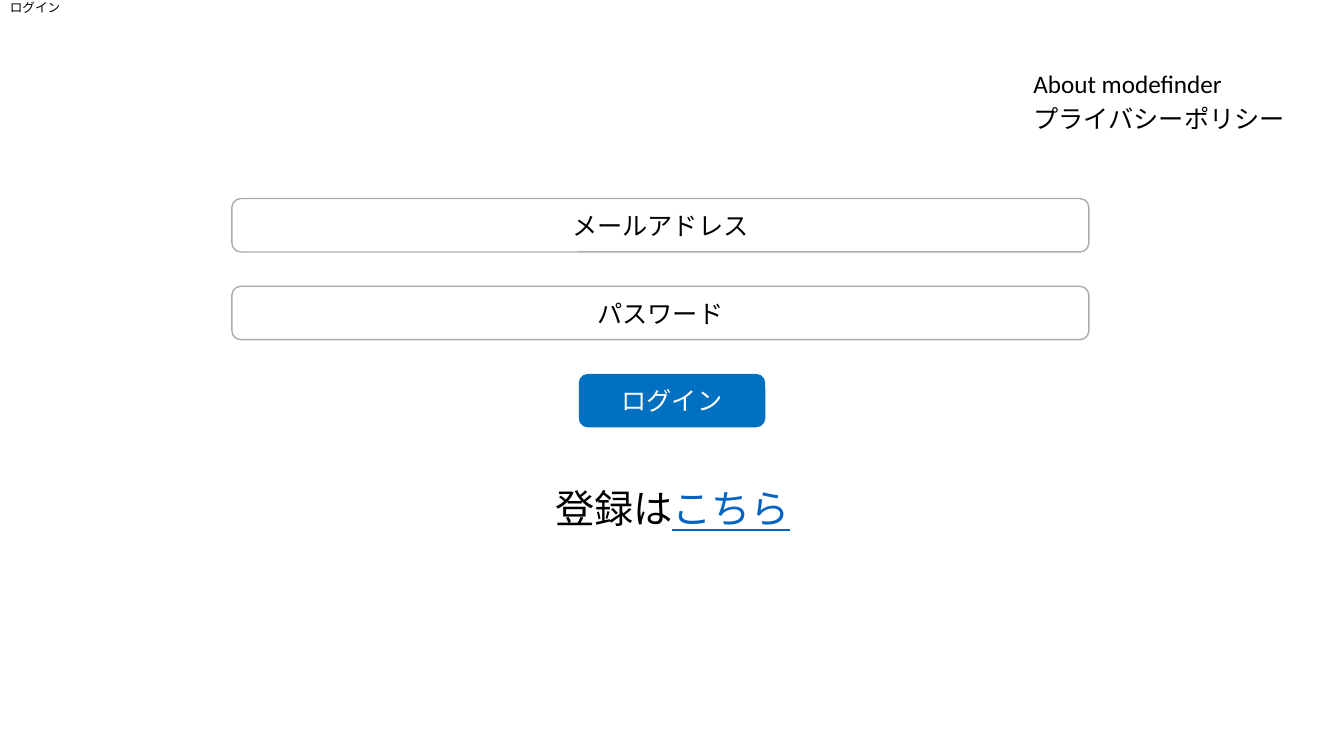
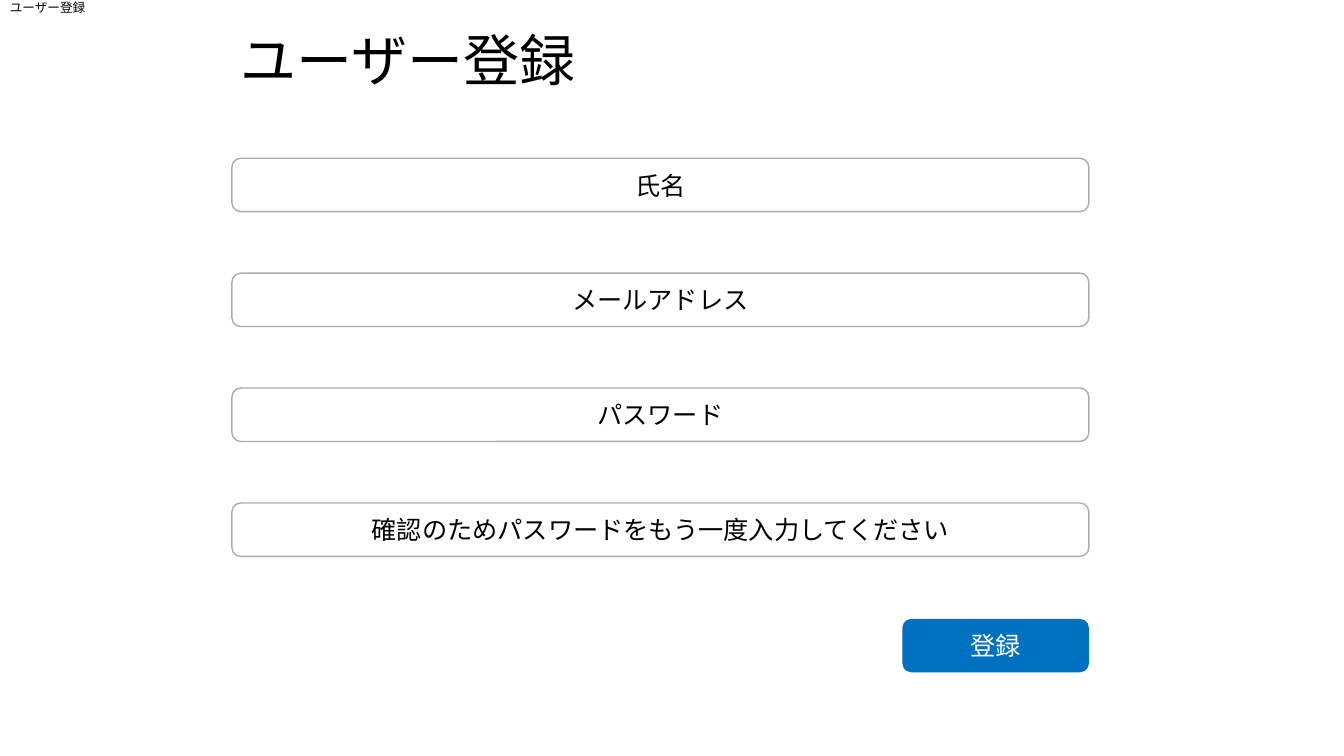
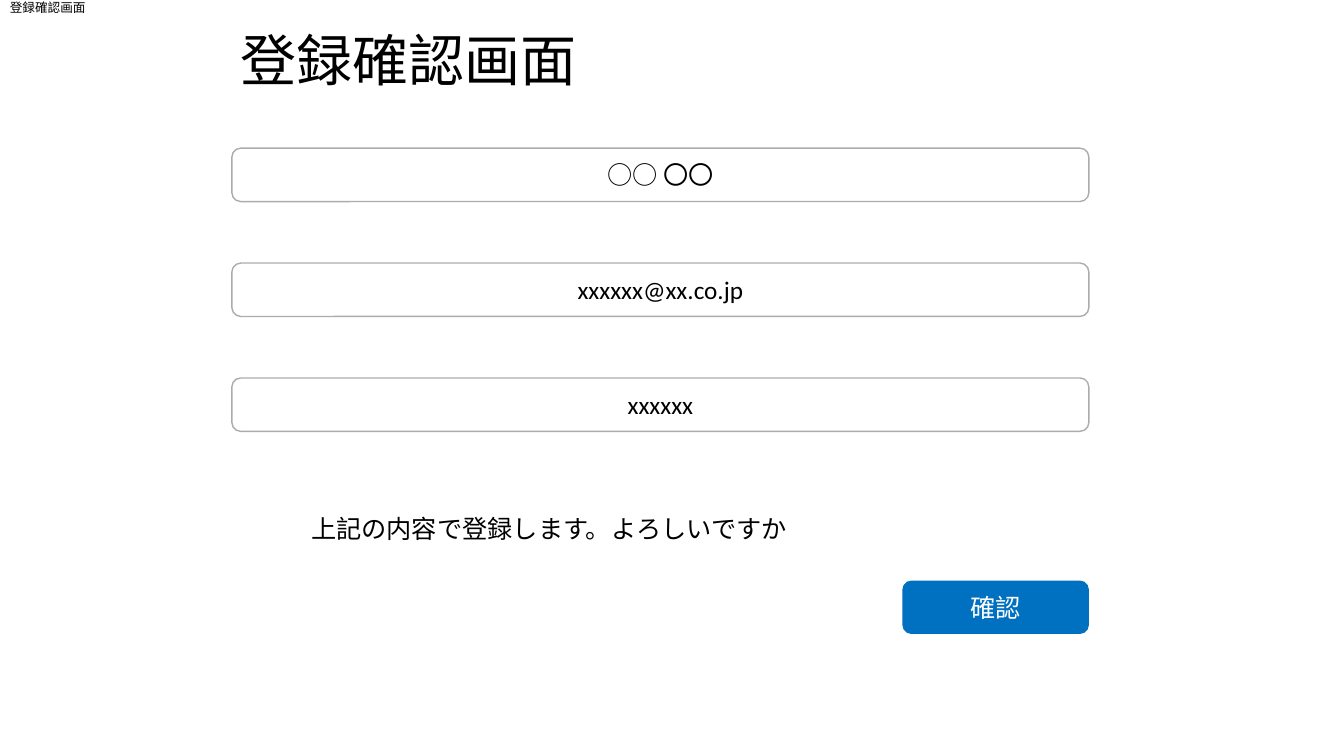
from pptx import Presentation
from pptx.dml.color import RGBColor
from pptx.enum.shapes import MSO_SHAPE
from pptx.enum.text import MSO_ANCHOR, PP_ALIGN
from pptx.util import Inches, Pt

BLACK = RGBColor(0x00, 0x00, 0x00)
WHITE = RGBColor(0xFF, 0xFF, 0xFF)
BUTTON_BLUE = RGBColor(0x00, 0x70, 0xC0)
LINK_BLUE = RGBColor(0x05, 0x63, 0xC1)
FIELD_GRAY = RGBColor(0xAF, 0xAB, 0xAB)
FONT = "Calibri"

FORM_LEFT, FORM_WIDTH = 2.3, 8.5
ROW_HEIGHT = 0.53
BUTTON_WIDTH = 1.85
BUTTON_RIGHT_LEFT = FORM_LEFT + FORM_WIDTH - BUTTON_WIDTH

SCREENS = [
    {
        "name": "ログイン",
        "fields": ["メールアドレス", "パスワード"],
        "first_top": 1.97,
        "pitch": 0.87,
        "button": ("ログイン", 5.74, 3.71),
        "menu": ["About modefinder", "プライバシーポリシー"],
        "signup": ("登録は", "こちら"),
    },
    {
        "name": "ユーザー登録",
        "heading": "ユーザー登録",
        "fields": ["氏名", "メールアドレス", "パスワード",
                   "確認のためパスワードをもう一度入力してください"],
        "first_top": 1.57,
        "pitch": 1.14,
        "button": ("登録", BUTTON_RIGHT_LEFT, 6.14),
    },
    {
        "name": "登録確認画面",
        "heading": "登録確認画面",
        "fields": ["○○ 〇〇", "xxxxxx@xx.co.jp", "xxxxxx"],
        "first_top": 1.47,
        "pitch": 1.14,
        "button": ("確認", BUTTON_RIGHT_LEFT, 5.76),
        "question": "上記の内容で登録します。よろしいですか",
    },
]


def write(frame, text, size, color=BLACK, align=PP_ALIGN.LEFT, anchor=MSO_ANCHOR.TOP):
    frame.word_wrap = True
    frame.vertical_anchor = anchor
    paragraph = frame.paragraphs[0]
    paragraph.alignment = align
    paragraph.font.name = FONT
    paragraph.font.size = Pt(size)
    paragraph.font.color.rgb = color
    paragraph.add_run().text = text
    return paragraph


def add_text(slide, box, text, size, **style):
    label = slide.shapes.add_textbox(*map(Inches, box))
    return write(label.text_frame, text, size, **style)


def add_row(slide, left, top, width, text, color=BLACK, fill=None, line=None):
    row = slide.shapes.add_shape(
        MSO_SHAPE.ROUNDED_RECTANGLE,
        Inches(left), Inches(top), Inches(width), Inches(ROW_HEIGHT))
    row.shadow.inherit = False
    if fill is None:
        row.fill.background()
    else:
        row.fill.solid()
        row.fill.fore_color.rgb = fill
    if line is None:
        row.line.fill.background()
    else:
        row.line.color.rgb = line
        row.line.width = Pt(1)
    write(row.text_frame, text, 18, color, PP_ALIGN.CENTER, MSO_ANCHOR.MIDDLE)


def build_screen(slide, screen):
    name = add_text(slide, (0, 0, 1.83, 0.17), screen["name"], 9,
                    anchor=MSO_ANCHOR.MIDDLE)
    name.line_spacing = 0.9

    if "heading" in screen:
        add_text(slide, (-0.08, 0.2, 8.26, 0.77), screen["heading"], 40,
                 align=PP_ALIGN.CENTER)

    for index, item in enumerate(screen.get("menu", [])):
        add_text(slide, (10.15, 0.63 + index * 0.35, 3, 0.4), item, 18)

    for index, field in enumerate(screen["fields"]):
        add_row(slide, FORM_LEFT, screen["first_top"] + index * screen["pitch"],
                FORM_WIDTH, field, line=FIELD_GRAY)

    if "question" in screen:
        add_row(slide, FORM_LEFT, 4.98, 6.29, screen["question"])

    caption, left, top = screen["button"]
    add_row(slide, left, top, BUTTON_WIDTH, caption, WHITE, fill=BUTTON_BLUE)

    if "signup" in screen:
        lead, link_text = screen["signup"]
        signup = add_text(slide, (2.54, 4.76, 8.26, 0.57), lead, 28,
                          align=PP_ALIGN.CENTER)
        link = signup.add_run()
        link.text = link_text
        link.font.color.rgb = LINK_BLUE
        link.font.underline = True


def main():
    deck = Presentation()
    deck.slide_width = Inches(13.33)
    deck.slide_height = Inches(7.5)
    for screen in SCREENS:
        build_screen(deck.slides.add_slide(deck.slide_layouts[6]), screen)
    deck.save("out.pptx")


if __name__ == "__main__":
    main()
